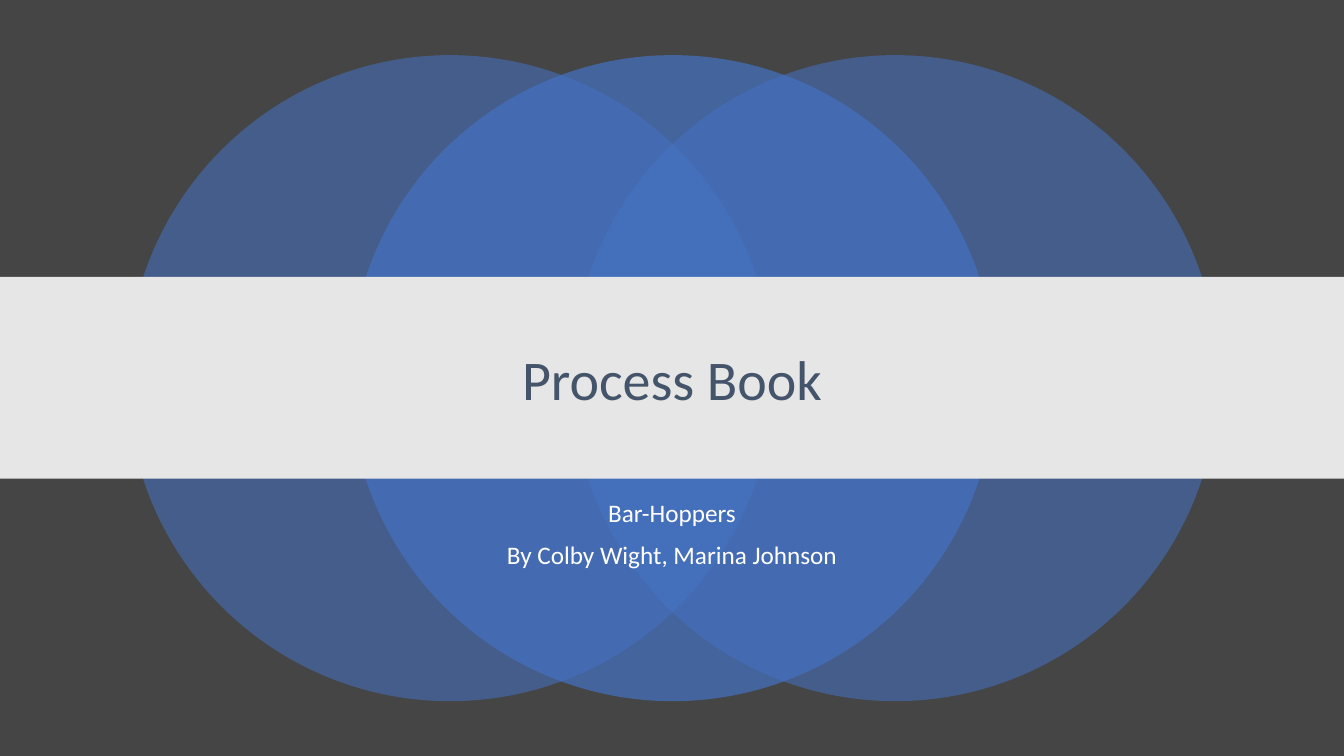
from lxml.etree import SubElement
from pptx import Presentation
from pptx.dml.color import RGBColor
from pptx.enum.shapes import MSO_SHAPE
from pptx.enum.text import MSO_ANCHOR, PP_ALIGN
from pptx.oxml.ns import qn
from pptx.util import Cm, Pt

CHARCOAL = RGBColor(0x45, 0x45, 0x45)
BLUE = RGBColor(0x44, 0x72, 0xC4)
LIGHT_GREY = RGBColor(0xE7, 0xE6, 0xE6)
SLATE = RGBColor(0x44, 0x54, 0x6A)
WHITE = RGBColor(0xFF, 0xFF, 0xFF)
WIDTH, HEIGHT = 33.87, 19.05


def write(frame, *lines, size, color, font, before=0):
    """Fill a text frame with centred lines in one format."""
    for index, line in enumerate(lines):
        paragraph = frame.add_paragraph() if index else frame.paragraphs[0]
        paragraph.alignment = PP_ALIGN.CENTER
        paragraph.line_spacing = 0.9
        paragraph.space_before = Pt(before)
        run = paragraph.add_run()
        run.text = line
        run.font.name = font
        run.font.size = Pt(size)
        run.font.color.rgb = color


class Cover:
    """Holds the slide and its style, and draws each kind of element."""

    font = "Calibri"

    def __init__(self, slide):
        self.slide = slide
        slide.background.fill.solid()
        slide.background.fill.fore_color.rgb = CHARCOAL

    def filled(self, shapes, preset, box, color, opacity=100):
        """Add a borderless shape with the given opacity in percent."""
        shape = shapes.add_shape(preset, *map(Cm, box))
        shape.shadow.inherit = False
        shape.line.fill.background()
        shape.fill.solid()
        shape.fill.fore_color.rgb = color
        if opacity < 100:
            tint = shape.fill._xPr.find(qn("a:solidFill"))[0]
            SubElement(tint, qn("a:alpha"), val=str(opacity * 1000))

    def circles(self, left, top, diameter, step):
        """Group the outer circles with the stronger middle one in front."""
        venn = self.slide.shapes.add_group_shape()
        for position, opacity in ((0, 55), (2, 55), (1, 70)):
            box = (left + position * step, top, diameter, diameter)
            self.filled(venn.shapes, MSO_SHAPE.OVAL, box, BLUE, opacity)

    def band(self, top, height):
        """Draw a strip across the whole slide."""
        self.filled(self.slide.shapes, MSO_SHAPE.RECTANGLE,
                    (0, top, WIDTH, height), LIGHT_GREY)

    def text(self, top, height, *lines, anchor=MSO_ANCHOR.TOP, **style):
        """Add a horizontally centred text box."""
        width = 25.4
        box = ((WIDTH - width) / 2, top, width, height)
        frame = self.slide.shapes.add_textbox(*map(Cm, box)).text_frame
        frame.word_wrap = True
        frame.vertical_anchor = anchor
        write(frame, *lines, font=self.font, **style)


def main():
    """Build and save the cover slide."""
    deck = Presentation()
    deck.slide_width, deck.slide_height = Cm(WIDTH), Cm(HEIGHT)
    cover = Cover(deck.slides.add_slide(deck.slide_layouts[6]))
    cover.circles(left=3.2, top=1.39, diameter=16.28, step=5.61)
    cover.text(12.5, 2.11, "Bar-Hoppers", "By Colby Wight, Marina Johnson",
               size=18, color=WHITE, before=10)
    cover.band(top=6.98, height=5.08)
    cover.text(7.72, 3.84, "Process Book", anchor=MSO_ANCHOR.MIDDLE,
               size=40, color=SLATE)
    deck.save("out.pptx")


if __name__ == "__main__":
    main()
